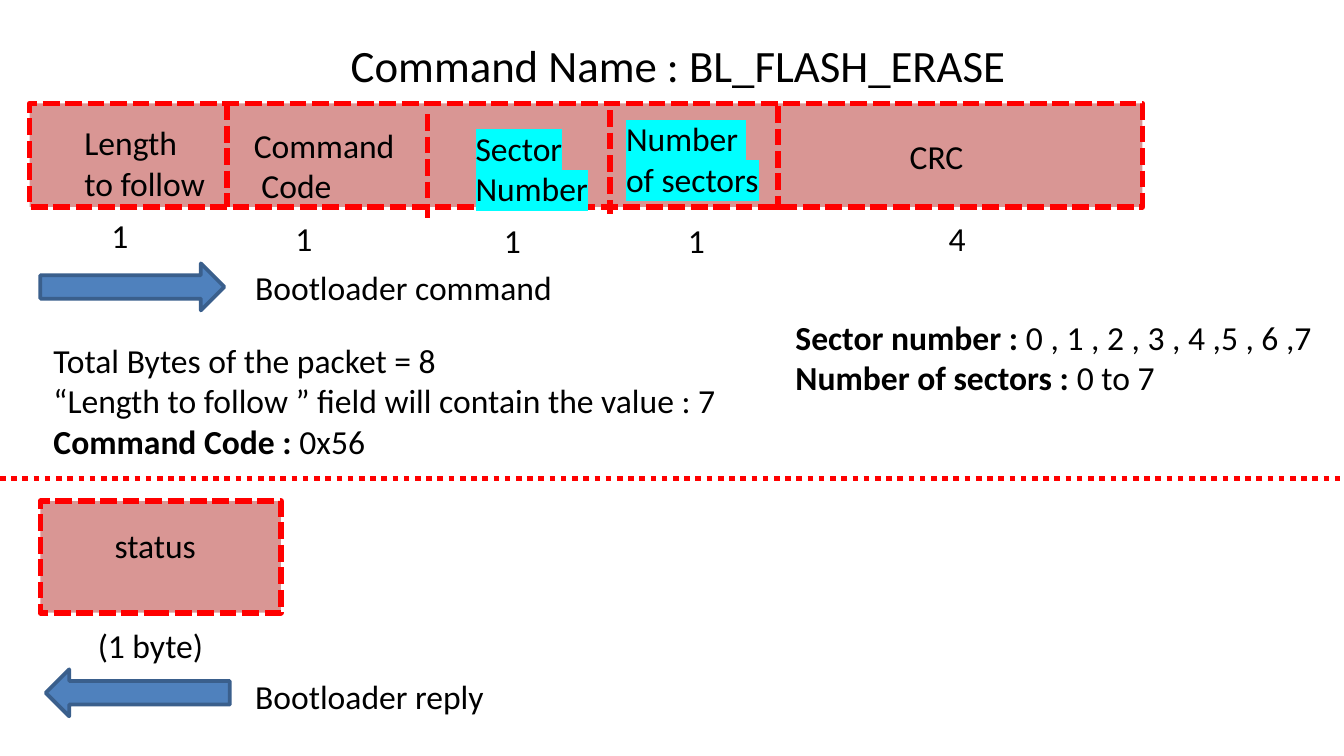
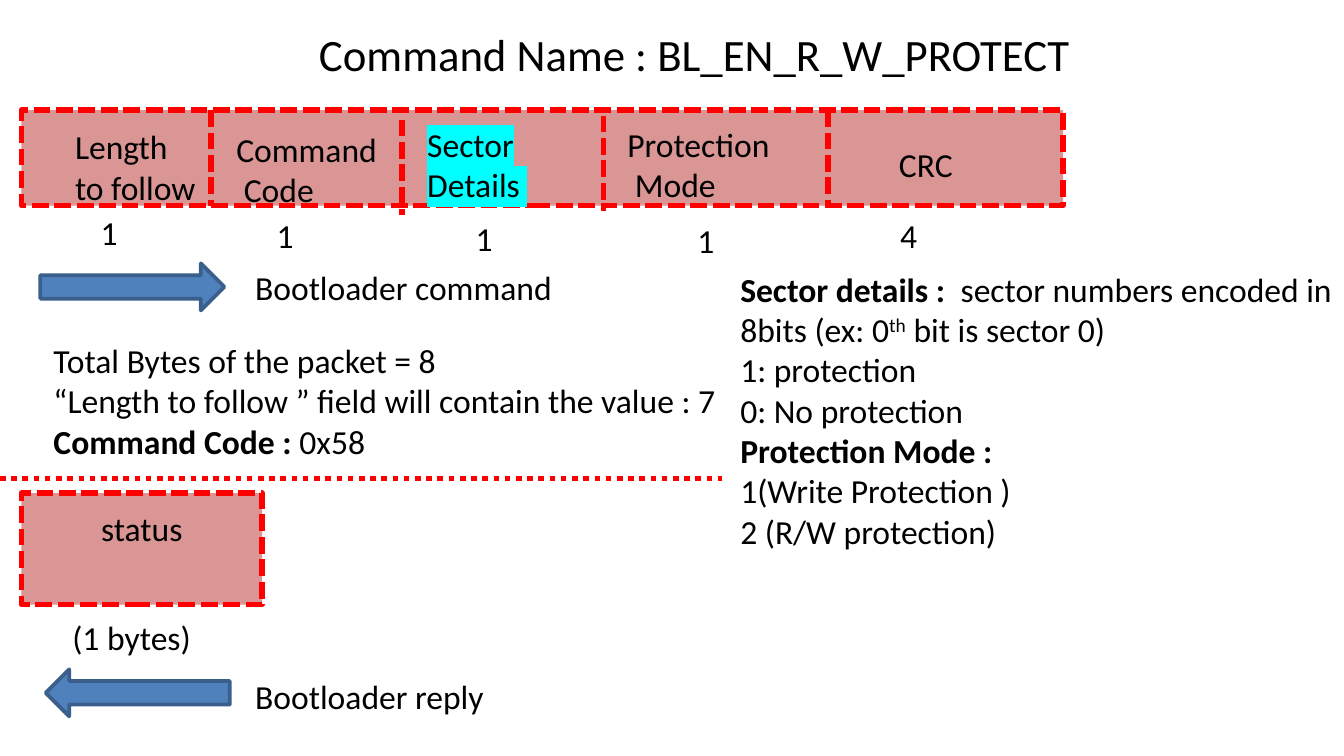
from lxml.etree import SubElement
from pptx import Presentation
from pptx.dml.color import RGBColor
from pptx.enum.dml import MSO_LINE
from pptx.enum.shapes import MSO_CONNECTOR, MSO_SHAPE
from pptx.enum.text import MSO_ANCHOR, PP_ALIGN
from pptx.oxml.ns import qn
from pptx.util import Inches, Pt

FONT = "Calibri"
COLORS = {
    "text": "000000",
    "field": "D99694",
    "dash": "FF0000",
    "arrow": "4F81BD",
    "arrow_edge": "3A5F8C",
    "highlight": "00FFFF",
}

COMMANDS = [
    {
        "title": "Command Name : BL_FLASH_ERASE",
        "title_at": (2.45, 0.23, 5.19, 0.5),
        "packet": (0.22, 0.77, 8.28, 0.77),
        "dividers": [(1.69, 0.77), (3.18, 0.85), (4.54, 0.82), (5.79, 0.79)],
        "fields": [
            ((0.53, 0.86, 1.16, 0.65), ["Length", "to follow"], ""),
            ((1.79, 0.88, 1.32, 0.65), ["Command", " Code"], ""),
            ((3.44, 0.9, 1.05, 0.71), ["Sector", "Number"], "highlight"),
            ((4.56, 0.83, 1.2, 0.71), ["Number ", "of sectors"], "highlight"),
            ((6.67, 0.96, 0.63, 0.37), ["CRC"], ""),
        ],
        "sizes": [(0.73, 1.55, "1"), (2.1, 1.57, "1"), (3.65, 1.59, "1"),
                  (5.02, 1.59, "1"), (6.96, 1.57, "4")],
        "size_box": (0.35, 0.37),
        "code": "0x56",
        "separator_end": 10,
        "status": (0.3, 3.73, 1.79, 0.83),
        "status_label": (0.75, 3.86, 0.81, 0.4),
        "reply_size": ("(1 byte)", (0.62, 4.6, 1, 0.4)),
        "details_at": (5.82, 2.31, 4.21, 0.71),
        "details": [
            [("Sector number : ", "bold"), ("0 , 1 , 2 , 3 , 4 ,5 , 6 ,7", "")],
            [("Number of sectors : ", "bold"), ("0 to 7", "")],
        ],
    },
    {
        "title": "Command Name : BL_EN_R_W_PROTECT",
        "title_at": (2.07, 0.15, 6.19, 0.5),
        "packet": (0.16, 0.82, 7.75, 0.71),
        "dividers": [(1.57, 0.82), (2.99, 0.89), (4.49, 0.86), (6.16, 0.82)],
        "fields": [
            ((0.46, 0.89, 1.11, 0.6), ["Length", "to follow"], ""),
            ((1.66, 0.91, 1.26, 0.6), ["Command", " Code"], ""),
            ((3.08, 0.87, 0.95, 0.71), ["Sector", "Details "], "highlight"),
            ((4.57, 0.87, 1.27, 0.71), ["Protection", " Mode"], ""),
            ((6.59, 1.02, 0.61, 0.34), ["CRC"], ""),
        ],
        "sizes": [(0.65, 1.53, "1"), (1.96, 1.55, "1"), (3.44, 1.57, "1"),
                  (5.09, 1.59, "1"), (6.6, 1.55, "4")],
        "size_box": (0.33, 0.34),
        "code": "0x58",
        "separator_end": 5.37,
        "status": (0.16, 3.67, 1.79, 0.83),
        "status_label": (0.65, 3.73, 0.81, 0.4),
        "reply_size": ("(1 bytes)", (0.43, 4.54, 1.1, 0.4)),
        "details_at": (5.41, 1.95, 5, 2.22),
        "details": [
            [("Sector details :  ", "bold"), ("sector numbers encoded in 8bits (ex: 0", ""),
             ("th", "super"), (" bit is sector 0)", "")],
            [("1: protection", "")],
            [("0: No protection", "")],
            [("Protection Mode :", "bold")],
            [("1(Write Protection )", "")],
            [("2 (R/W protection)", "")],
        ],
    },
]


def add_text(shapes, at, paragraphs, wrap=False, align=PP_ALIGN.LEFT):
    """Add a text box; each paragraph is a list of (text, style) runs."""
    tf = shapes.add_textbox(*map(Inches, at)).text_frame
    tf.word_wrap = wrap
    for i, runs in enumerate(paragraphs):
        p = tf.add_paragraph() if i else tf.paragraphs[0]
        p.alignment = align
        for text, style in runs:
            r = p.add_run()
            r.text = text
            r.font.size = Pt(18)
            r.font.bold = style == "bold"
            r.font.color.rgb = RGBColor.from_string(COLORS["text"])
            rPr = r.font._element
            if style == "highlight":
                hl = SubElement(rPr, qn("a:highlight"))
                SubElement(hl, qn("a:srgbClr"), val=COLORS["highlight"])
            elif style == "super":
                rPr.set("baseline", "30000")
            r.font.name = FONT


def add_box(shapes, kind, at, fill, line, width):
    sp = shapes.add_shape(kind, *map(Inches, at))
    sp.shadow.inherit = False
    sp.fill.solid()
    sp.fill.fore_color.rgb = RGBColor.from_string(COLORS[fill])
    sp.line.color.rgb = RGBColor.from_string(COLORS[line])
    sp.line.width = Pt(width)
    return sp


prs = Presentation()
prs.slide_width = Inches(10)
prs.slide_height = Inches(10) * 9 // 16

for cmd in COMMANDS:
    s = prs.slides.add_slide(prs.slide_layouts[5])

    # Title
    title = s.shapes.title
    title.left, title.top, title.width, title.height = map(Inches, cmd["title_at"])
    tf = title.text_frame
    tf.vertical_anchor = MSO_ANCHOR.TOP
    tf.word_wrap = False
    p = tf.paragraphs[0]
    p.alignment = PP_ALIGN.CENTER
    r = p.add_run()
    r.text = cmd["title"]
    r.font.size = Pt(24)
    r.font.name = FONT
    r.font.color.rgb = RGBColor.from_string(COLORS["text"])

    # Command packet and status byte
    packet = s.shapes.add_group_shape().shapes
    for shapes, at in ((s.shapes, cmd["status"]), (packet, cmd["packet"])):
        sp = add_box(shapes, MSO_SHAPE.RECTANGLE, at, "field", "dash", 3)
        sp.line.dash_style = MSO_LINE.SQUARE_DOT

    height = cmd["packet"][3]
    lines = [(packet, (x, y, x, y + height), MSO_LINE.SQUARE_DOT)
             for x, y in cmd["dividers"]]
    lines.append((s.shapes, (0, 3.56, cmd["separator_end"], 3.56), MSO_LINE.ROUND_DOT))
    for shapes, ends, dash in lines:
        cx = shapes.add_connector(MSO_CONNECTOR.STRAIGHT, *map(Inches, ends))
        cx.line.color.rgb = RGBColor.from_string(COLORS["dash"])
        cx.line.width = Pt(3)
        cx.line.dash_style = dash
        SubElement(cx._element.spPr, qn("a:effectLst"))

    for at, names, style in cmd["fields"]:
        add_text(packet, at, [[(name, style)] for name in names])
    for x, y, size in cmd["sizes"]:
        add_text(packet, (x, y, *cmd["size_box"]), [[(size, "")]])

    reply_size, reply_at = cmd["reply_size"]
    for text, at in (("status", cmd["status_label"]), (reply_size, reply_at)):
        add_text(s.shapes, at, [[(text, "")]], align=PP_ALIGN.CENTER)

    # Direction arrows
    for x, y, rotation in ((0.3, 1.96, 0), (0.34, 4.98, 180)):
        sp = add_box(s.shapes, MSO_SHAPE.RIGHT_ARROW, (x, y, 1.37, 0.35),
                     "arrow", "arrow_edge", 2)
        sp.rotation = rotation
    add_text(s.shapes, (1.8, 1.94, 2.44, 0.4), [[("Bootloader command", "")]])
    add_text(s.shapes, (1.8, 4.98, 1.92, 0.4), [[("Bootloader reply", "")]])

    # Explanations
    add_text(s.shapes, (0.3, 2.48, 5.2, 1.31), [
        [("Total Bytes of the packet = 8", "")],
        [("“Length to follow ” field will contain the value : 7", "")],
        [("Command Code : ", "bold"), (cmd["code"], "")],
    ])
    add_text(s.shapes, cmd["details_at"], cmd["details"], wrap=True)

prs.save("out.pptx")
